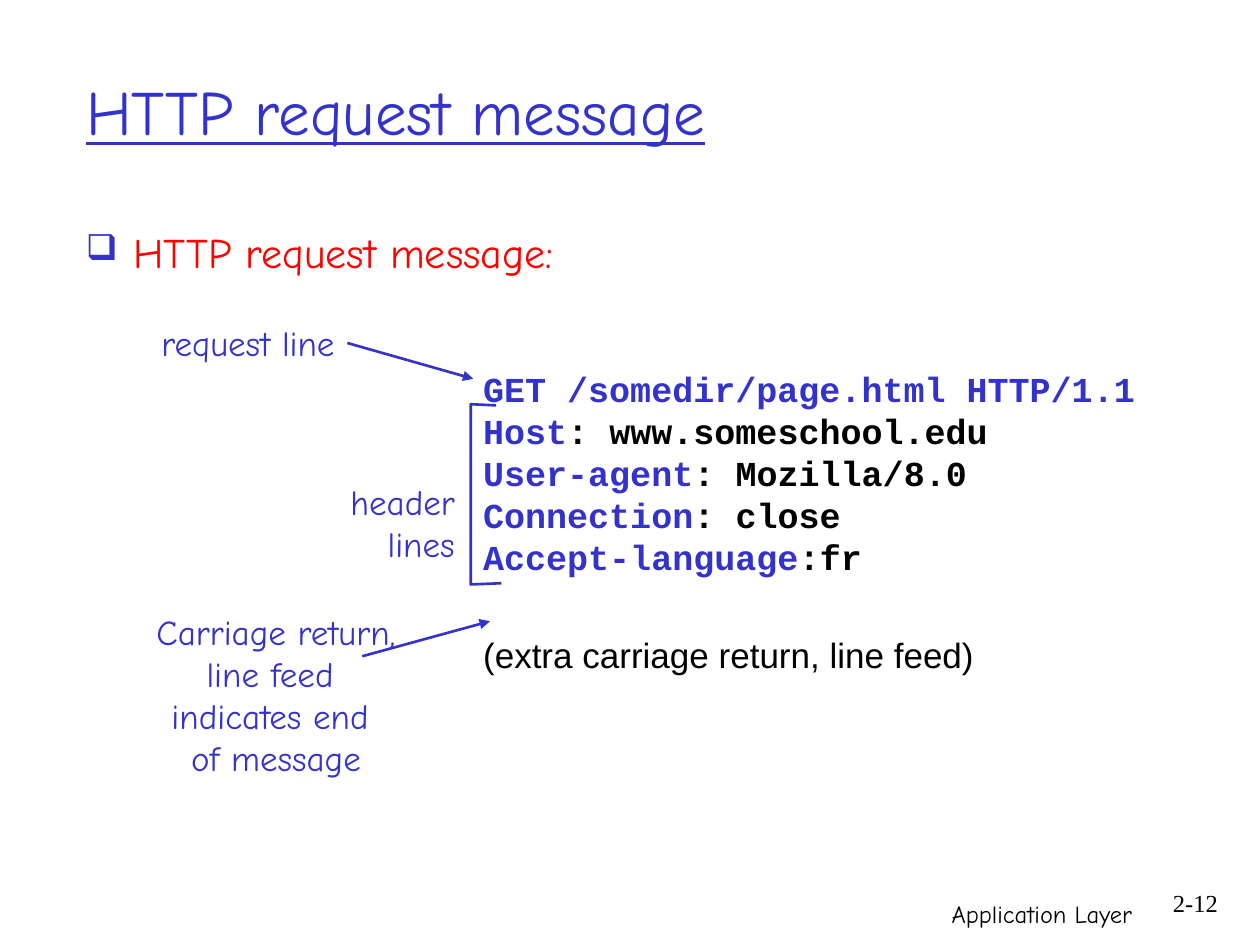
from lxml import etree
from pptx import Presentation
from pptx.dml.color import RGBColor
from pptx.enum.shapes import MSO_CONNECTOR
from pptx.enum.text import MSO_ANCHOR, PP_ALIGN
from pptx.oxml.ns import qn
from pptx.util import Pt

STRAIGHT = MSO_CONNECTOR.STRAIGHT
MID = MSO_ANCHOR.MIDDLE
TOP = MSO_ANCHOR.TOP
LEFT, MIDST, RIGHT = PP_ALIGN.LEFT, PP_ALIGN.CENTER, PP_ALIGN.RIGHT
COLORS = {"blue": "3333CC", "red": "FF0000", "black": "000000"}
HAND, CODE, SANS, SERIF = "Comic Neue", "Courier New", "Arial", "Times New Roman"
FIELDS = [("GET /somedir/page.html HTTP/1.1", ""), ("Host", ": www.someschool.edu"),
          ("User-agent", ": Mozilla/8.0"), ("Connection", ": close"),
          ("Accept-language", ":fr")]


def color(name):
    """Return the named colour."""
    return RGBColor.from_string(COLORS[name])


def style(font, face, size, tint, bold=False):
    """Set face, size, colour and weight of a font."""
    font.name, font.size, font.bold = face, Pt(size), bold
    font.color.rgb = color(tint)


def label(slide, box, lines, align=LEFT, face=HAND, size=20, tint="blue", wrap=False):
    """Place a text box with one paragraph for each line."""
    shape = slide.shapes.add_textbox(*map(Pt, box))
    frame = shape.text_frame
    frame.word_wrap = wrap
    frame.text = "\n".join(lines)
    for para in frame.paragraphs:
        para.alignment = align
        style(para.font, face, size, tint)
    return shape


def stroke(shape):
    """Give a shape the thin blue line."""
    shape.line.color.rgb = color("blue")
    shape.line.width = Pt(1.5)


def arrow(slide, start, end, source=None):
    """Draw an arrow, joined to the right side of a source if there is one."""
    link = slide.shapes.add_connector(STRAIGHT, *map(Pt, start + end))
    if source is not None:
        link.begin_connect(source, 3)
    stroke(link)
    etree.SubElement(link.line._get_or_add_ln(), qn("a:tailEnd"), type="triangle")
    etree.SubElement(link._element.spPr, qn("a:effectLst"))


def heading(slide, box):
    """Place the underlined title."""
    title = slide.shapes.title
    title.left, title.top, title.width, title.height = map(Pt, box)
    frame = title.text_frame
    frame.text = "HTTP request message"
    frame.vertical_anchor = MID
    para = frame.paragraphs[0]
    para.alignment = LEFT
    style(para.font, HAND, 36, "blue")
    para.font.underline = True


def topic(slide, box):
    """Place the bulleted topic line."""
    shape = label(slide, box, ["HTTP request message:"], size=24, tint="red", wrap=True)
    props = shape.text_frame.paragraphs[0]._p.get_or_add_pPr()
    props.set("marL", str(Pt(27)))
    props.set("indent", str(Pt(-27)))
    tint = etree.Element(qn("a:buClr"))
    etree.SubElement(tint, qn("a:srgbClr"), val=COLORS["blue"])
    size = etree.Element(qn("a:buSzPct"), val="85000")
    mark = etree.Element(qn("a:buChar"), char="❑")
    for spot, part in enumerate((tint, size, mark)):
        props.insert(spot, part)


def request(slide, box):
    """Place the request text with coloured field names."""
    frame = slide.shapes.add_textbox(*map(Pt, box)).text_frame
    frame.word_wrap = False
    frame.vertical_anchor = TOP
    for spot, (name, value) in enumerate(FIELDS):
        para = frame.add_paragraph() if spot else frame.paragraphs[0]
        style(para.font, CODE, 20, "black", True)
        run = para.add_run()
        run.text = name
        run.font.color.rgb = color("blue")
        if value:
            para.add_run().text = value
    para = frame.add_paragraph()
    para.text = "(extra carriage return, line feed)"
    para.space_before = Pt(32)
    style(para.font, SANS, 20, "black")


def bracket(slide, box):
    """Draw the open bracket beside the header lines."""
    left, top, width, height = box
    pen = slide.shapes.build_freeform(Pt(left + 14.5), Pt(top + 0.7))
    points = [(left, top), (left, top + height), (left + width, top + height - 0.7)]
    pen.add_line_segments([(Pt(x), Pt(y)) for x, y in points], close=False)
    shape = pen.convert_to_shape()
    shape.shadow.inherit = False
    shape.fill.background()
    stroke(shape)


def notes(slide, box):
    """Place the labels, arrows and bracket around the request."""
    left, top = box[:2]
    first = label(slide, (left + 6, top, 113.5, 32), ["request line"], MIDST)
    arrow(slide, (left + 119, top + 16), (left + 191.5, top + 36.5), first)
    bracket(slide, (left + 190, top + 51, 17.5, 103))
    label(slide, (left + 114, top + 91, 74, 55.5), ["header", " lines"], RIGHT)
    arrow(slide, (left + 128, top + 195), (left + 201, top + 175))
    label(slide, (left, top + 165.5, 157.5, 103.5),
          ["Carriage return, ", "line feed ", "indicates end ", "of message"], MIDST)


def footer(slide, box):
    """Place the chapter name and the page number."""
    left, top, width, height = box
    label(slide, (left, top + 6, 228, height), ["Application Layer"], RIGHT,
          size=14, tint="black", wrap=True)
    label(slide, (left + 228, top, width - 228, height), ["2-12"], RIGHT,
          SERIF, 14, "black", True)


def main():
    """Build and save the slide."""
    deck = Presentation()
    deck.slide_width, deck.slide_height = Pt(720), Pt(540)
    slide = deck.slides.add_slide(deck.slide_layouts[5])
    footer(slide, (426, 504, 277, 36))
    heading(slide, (42, 18, 612, 90))
    topic(slide, (42, 126, 612, 366))
    request(slide, (269, 206.5, 387.5, 185))
    notes(slide, (79, 180, 208, 269))
    deck.save("out.pptx")


if __name__ == "__main__":
    main()
